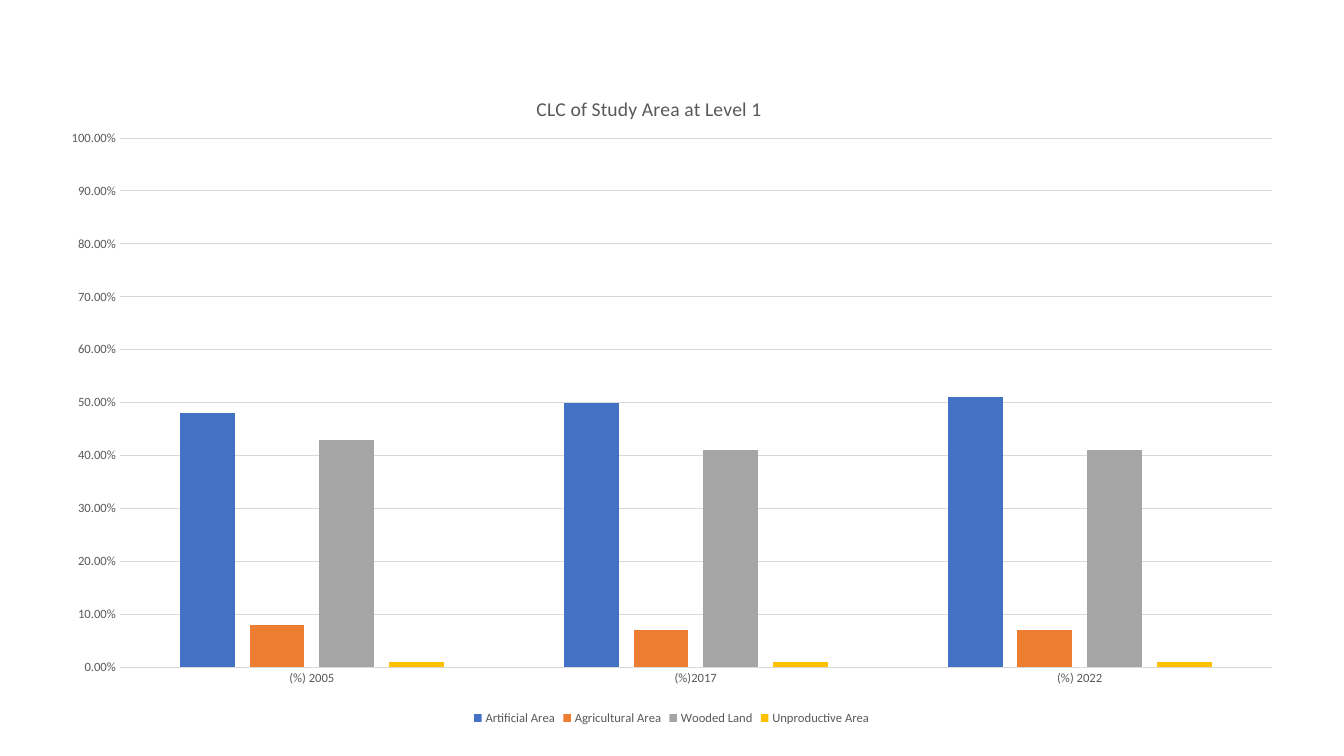
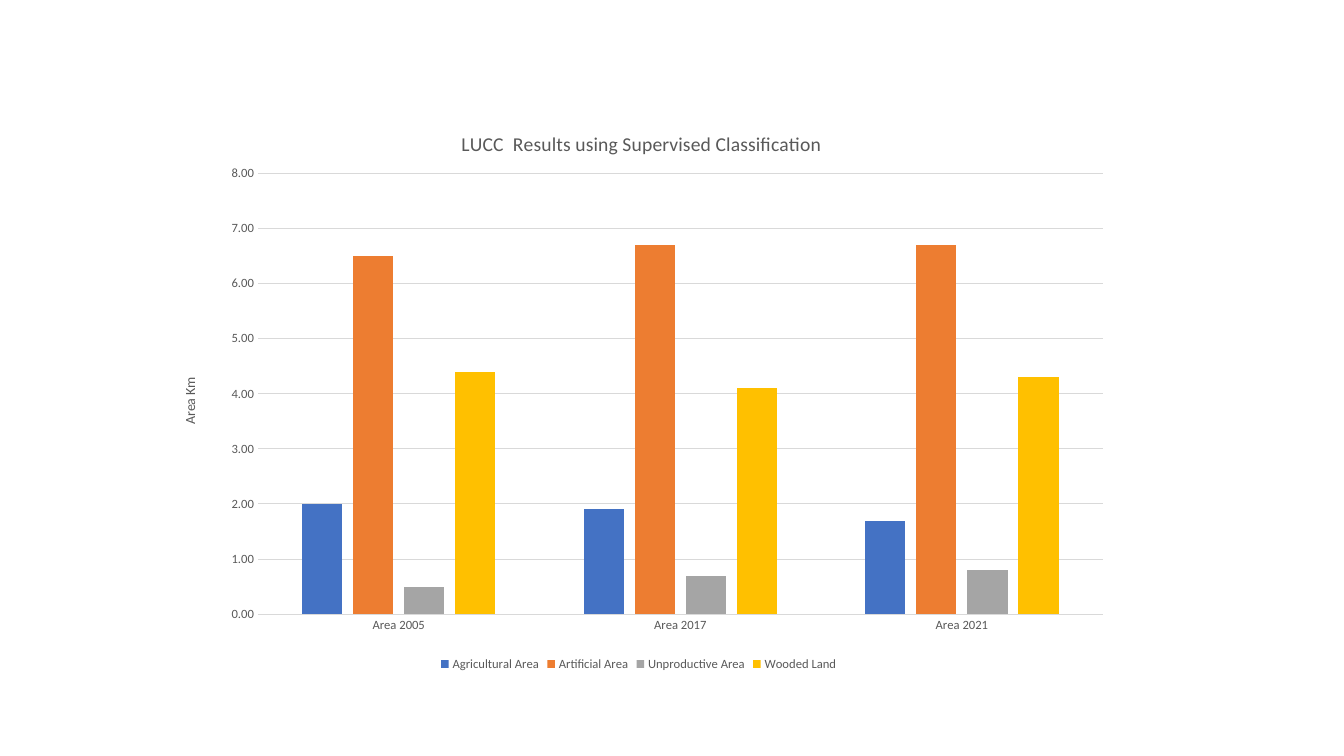
from dataclasses import dataclass

import lxml.etree
import pptx
import pptx.chart.data
import pptx.dml.color
import pptx.enum.chart
import pptx.oxml.ns
import pptx.util

Cm = pptx.util.Cm
Pt = pptx.util.Pt


@dataclass(frozen=True)
class Theme:
    font: str = "Calibri"
    text: str = "595959"
    grid: str = "D9D9D9"
    series: tuple = ("4472C4", "ED7D31", "A5A5A5", "FFC000")
    title_size: int = 14
    axis_title_size: int = 10
    label_size: int = 9
    line_width: float = 0.75
    gap: int = 219
    overlap: int = -27


class Deck:
    def __init__(self, theme):
        self.theme = theme
        self.presentation = pptx.Presentation()
        self.presentation.slide_width = Cm(33.87)
        self.presentation.slide_height = Cm(19.05)
        self.slide = None

    def add_slide(self):
        self.slide = self.presentation.slides.add_slide(self.presentation.slide_layouts[6])

    def color(self, value):
        return pptx.dml.color.RGBColor.from_string(value)

    def style_font(self, font, size):
        font.name = self.theme.font
        font.size = Pt(size)
        font.bold = False
        font.color.rgb = self.color(self.theme.text)

    def style_line(self, line):
        line.color.rgb = self.color(self.theme.grid)
        line.width = Pt(self.theme.line_width)

    def place(self, element, frame, position, inner=False):
        qn = pptx.oxml.ns.qn
        for old_layout in element.findall(qn("c:layout")):
            element.remove(old_layout)
        layout = lxml.etree.Element(qn("c:layout"))
        element.insert(0 if element.find(qn("c:tx")) is None else 1, layout)
        manual = lxml.etree.SubElement(layout, qn("c:manualLayout"))
        left, top, width, height = frame
        settings = [("layoutTarget", "inner")] if inner else []
        settings += [("xMode", "edge"), ("yMode", "edge")]
        fractions = [(position[0] - left) / width, (position[1] - top) / height]
        if inner:
            fractions += [position[2] / width, position[3] / height]
        settings += zip("xywh", fractions)
        for name, value in settings:
            lxml.etree.SubElement(manual, qn(f"c:{name}"), val=str(value))

    def title(self, title, text, size, frame, position):
        run = title.text_frame.paragraphs[0].add_run()
        run.text = text
        self.style_font(run.font, size)
        self.place(title._element, frame, position)

    def column_chart(self, frame, plot_area, categories, series, number_format,
                     maximum, major_unit, title, title_position):
        data = pptx.chart.data.CategoryChartData()
        data.categories = categories
        for name, values in series.items():
            data.add_series(name, values)
        chart = self.slide.shapes.add_chart(
            pptx.enum.chart.XL_CHART_TYPE.COLUMN_CLUSTERED, *frame, data).chart
        self.style_font(chart.font, self.theme.label_size)

        plot = chart.plots[0]
        plot.gap_width = self.theme.gap
        plot.overlap = self.theme.overlap
        plot.vary_by_categories = False
        for column, color in zip(plot.series, self.theme.series):
            column.format.fill.solid()
            column.format.fill.fore_color.rgb = self.color(color)
        self.place(chart._chartSpace.chart.plotArea, frame, plot_area, inner=True)

        for axis in (chart.category_axis, chart.value_axis):
            axis.major_tick_mark = pptx.enum.chart.XL_TICK_MARK.NONE
            axis.minor_tick_mark = pptx.enum.chart.XL_TICK_MARK.NONE
            self.style_font(axis.tick_labels.font, self.theme.label_size)
        self.style_line(chart.category_axis.format.line)

        value_axis = chart.value_axis
        value_axis.minimum_scale = 0
        value_axis.maximum_scale = maximum
        value_axis.major_unit = major_unit
        value_axis.tick_labels.number_format = number_format
        value_axis.tick_labels.number_format_is_linked = False
        value_axis.format.line.fill.background()
        value_axis.has_major_gridlines = True
        self.style_line(value_axis.major_gridlines.format.line)

        chart.has_legend = True
        chart.legend.position = pptx.enum.chart.XL_LEGEND_POSITION.BOTTOM
        chart.legend.include_in_layout = False
        self.style_font(chart.legend.font, self.theme.label_size)

        chart.has_title = True
        self.title(chart.chart_title, title, self.theme.title_size, frame, title_position)
        return chart

    def value_axis_title(self, chart, text, frame, position):
        axis_title = chart.value_axis.axis_title
        self.title(axis_title, text, self.theme.axis_title_size, frame, position)
        body = axis_title.text_frame._txBody.find(pptx.oxml.ns.qn("a:bodyPr"))
        body.set("rot", "-5400000")
        body.set("vert", "horz")


def main():
    deck = Deck(Theme())

    deck.add_slide()
    deck.column_chart(
        frame=(Cm(1.19), Cm(1.57), Cm(31.47), Cm(16.81)),
        plot_area=(Cm(3.02), Cm(3.48), Cm(29.03), Cm(13.34)),
        categories=["(%) 2005", "(%)2017", "(%) 2022"],
        series={
            "Artificial Area": (0.48, 0.5, 0.51),
            "Agricultural Area": (0.08, 0.07, 0.07),
            "Wooded Land": (0.43, 0.41, 0.41),
            "Unproductive Area": (0.01, 0.01, 0.01),
        },
        number_format="0.00%",
        maximum=1,
        major_unit=0.1,
        title="CLC of Study Area at Level 1",
        title_position=(Cm(13.43), Cm(2.32)),
    )

    deck.add_slide()
    frame = (Cm(3.89), Cm(2.62), Cm(24.41), Cm(14.4))
    chart = deck.column_chart(
        frame=frame,
        plot_area=(Cm(6.5), Cm(4.37), Cm(21.29), Cm(11.11)),
        categories=["Area 2005", "Area 2017", "Area 2021"],
        series={
            "Agricultural Area": (2, 1.9, 1.7),
            "Artificial Area": (6.5, 6.7, 6.7),
            "Unproductive Area": (0.5, 0.7, 0.8),
            "Wooded Land": (4.4, 4.1, 4.3),
        },
        number_format="0.00",
        maximum=8,
        major_unit=1,
        title="LUCC  Results using Supervised Classification",
        title_position=(Cm(11.54), Cm(3.2)),
    )
    deck.value_axis_title(chart, "Area Km", frame, (Cm(4.49), Cm(9.45)))

    deck.presentation.save("out.pptx")


if __name__ == "__main__":
    main()
